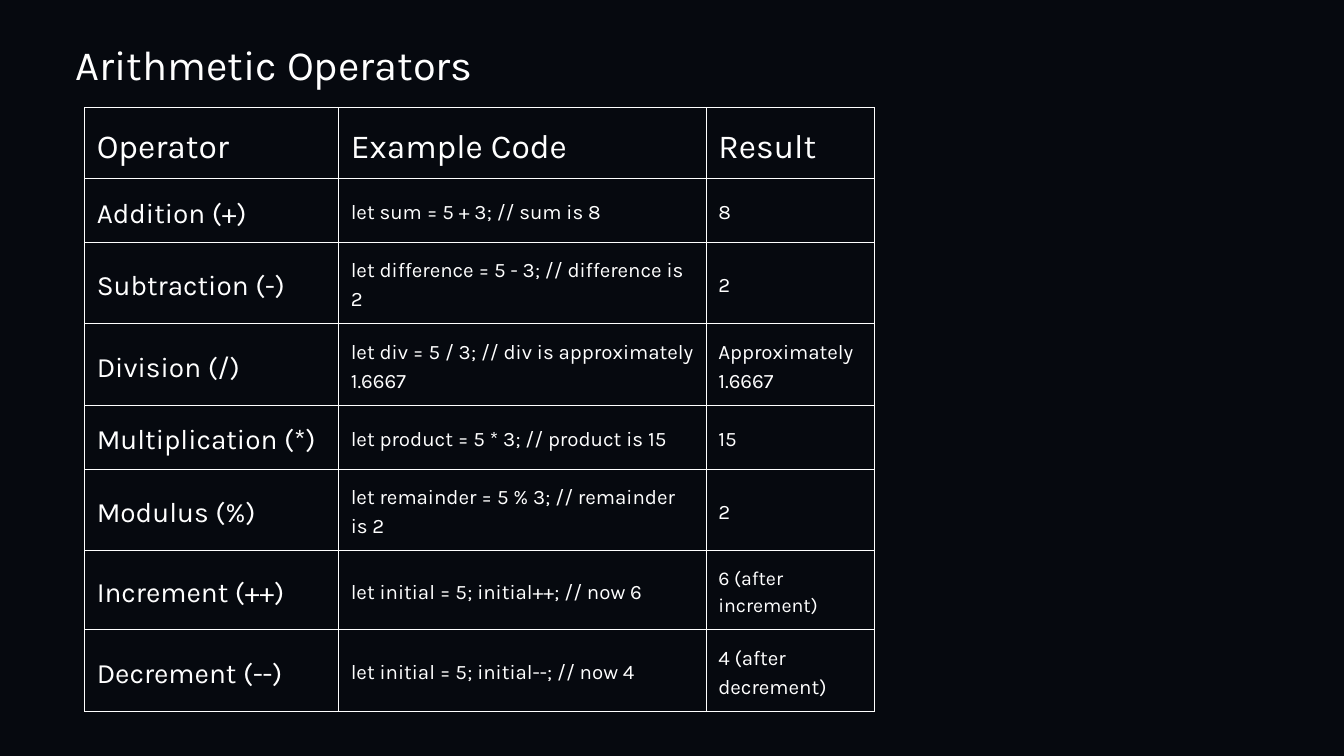
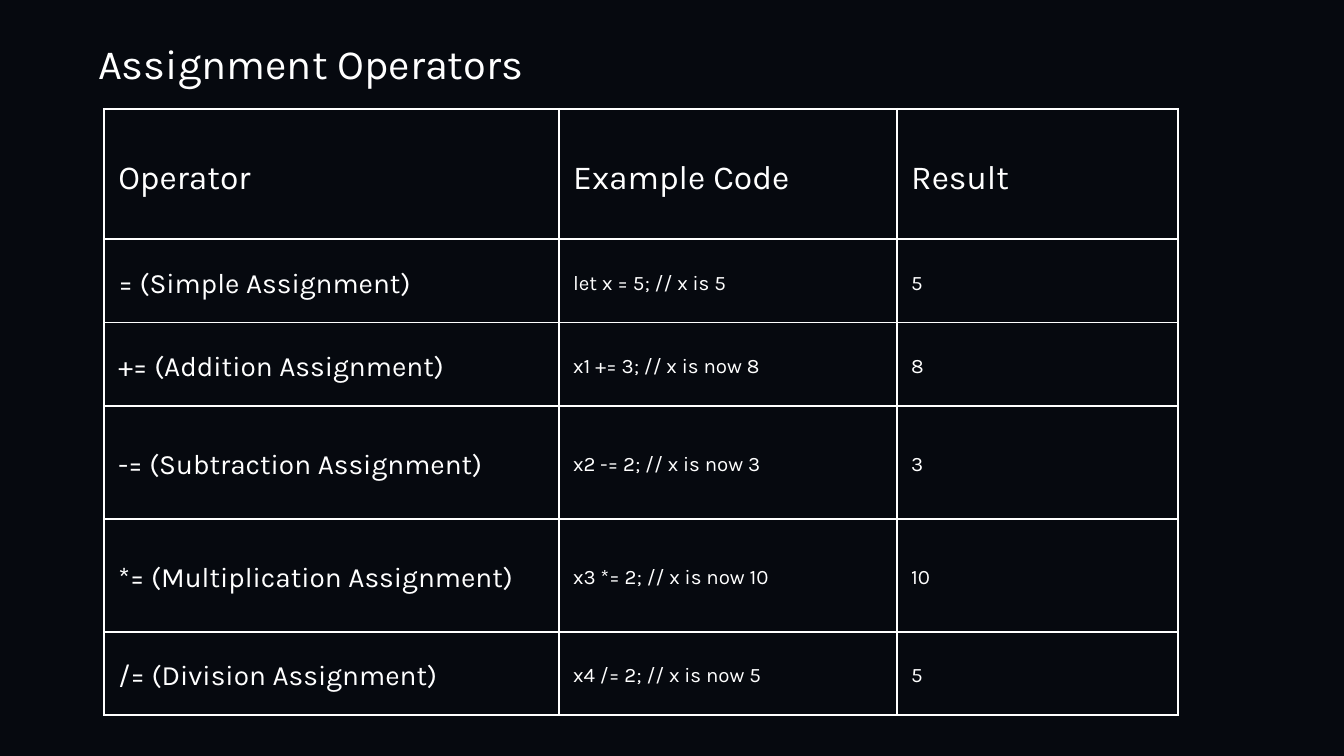
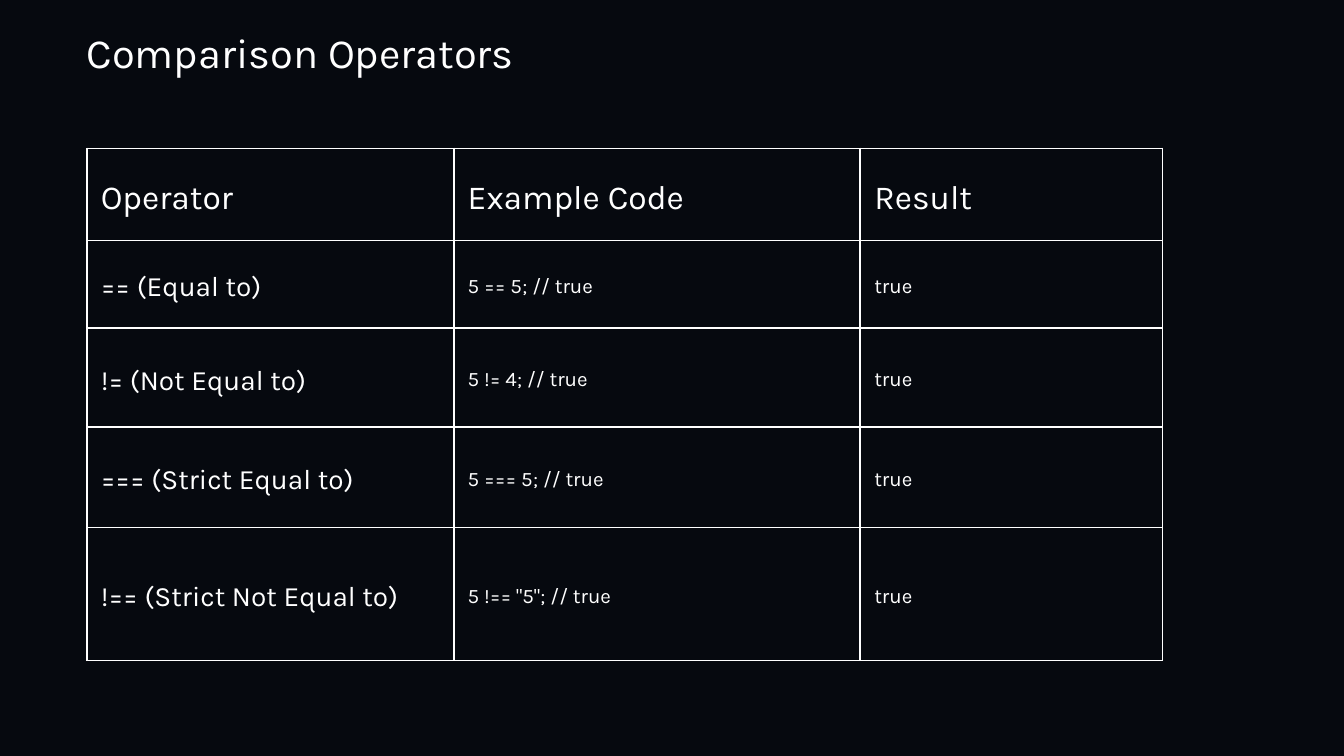
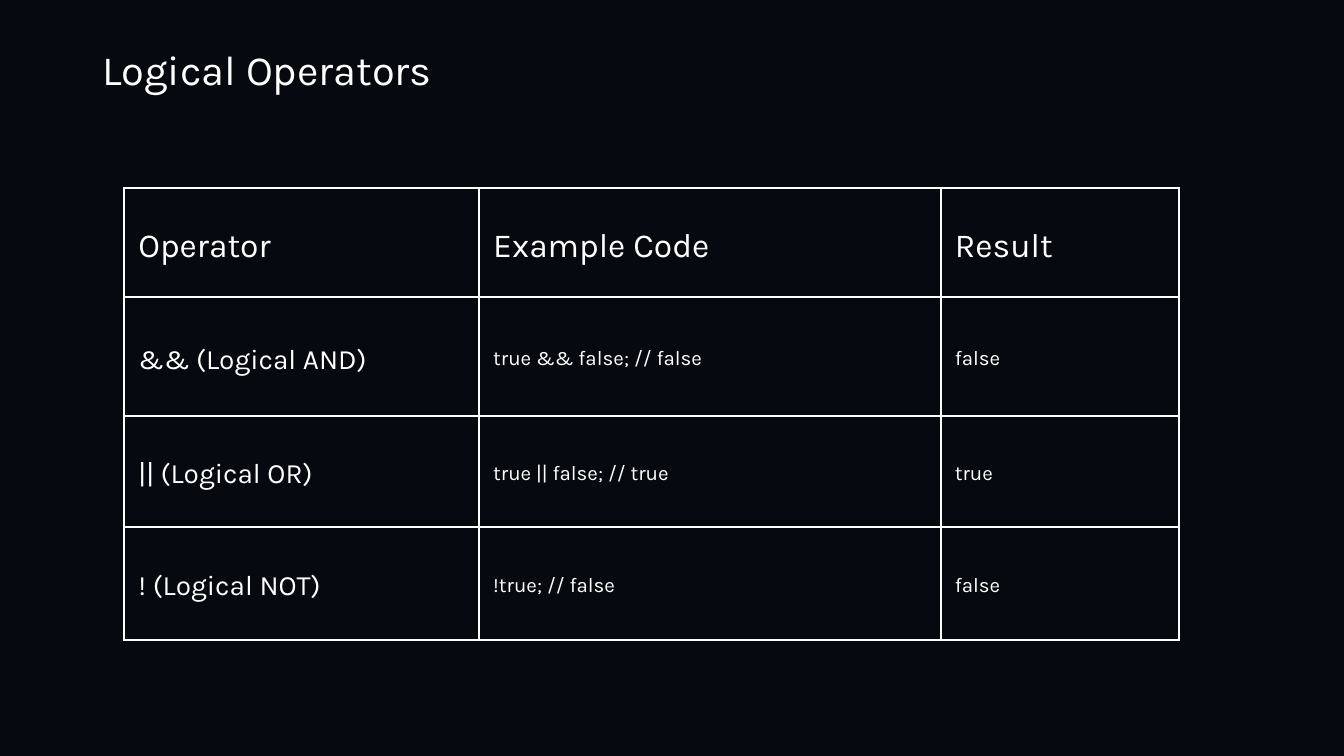
from dataclasses import dataclass

from lxml.etree import SubElement
from pptx import Presentation
from pptx.dml.color import RGBColor
from pptx.enum.text import MSO_ANCHOR as Anchor, MSO_AUTO_SIZE as AutoSize
from pptx.oxml.ns import qn
from pptx.util import Inches, Pt


@dataclass(frozen=True)
class Theme:
    background: str = "06090F"
    ink: str = "FFFFFF"
    font: str = "Karla"
    title_size: float = 44.6
    title_leading: float = 62
    heading_size: float = 36
    operator_size: float = 30
    code_size: float = 22
    small_code_size: float = 21
    cell_leading: float = 1.4


HEADINGS = ("Operator", "Example Code", "Result")
TITLE_WIDTH = 11.35

OPERATOR_SLIDES = (
    dict(
        title="Arithmetic Operators", title_box=(1.12, 0.46, 0.84),
        corner=(1.26, 1.6), columns=(3.78, 5.47, 2.5),
        heights=(0.86, 0.84, *[0.69] * 5, 0.82), border=1, inset=0.18,
        small_cells={(6, 2)},
        operators=(
            ("Addition (+)", "let sum = 5 + 3; // sum is 8", "8"),
            ("Subtraction (-)", "let difference = 5 - 3; // difference is 2", "2"),
            ("Division (/)", "let div = 5 / 3; // div is approximately 1.6667",
             "Approximately 1.6667"),
            ("Multiplication (*)", "let product = 5 * 3; // product is 15", "15"),
            ("Modulus (%)", "let remainder = 5 % 3; // remainder is 2", "2"),
            ("Increment (++)", "let initial = 5; initial++; // now 6",
             "6 (after increment)"),
            ("Decrement (--)", "let initial = 5; initial--; // now 4",
             "4 (after decrement)"),
        ),
    ),
    dict(
        title="Assignment Operators", title_box=(1.46, 0.45, 1.7),
        corner=(1.55, 1.62), columns=(6.77, 5.03, 4.18),
        heights=(1.94, 1.24, 1.24, 1.68, 1.68, 1.24),
        operators=(
            ("= (Simple Assignment)", "let x = 5; // x is 5", "5"),
            ("+= (Addition Assignment)", "x1 += 3; // x is now 8", "8"),
            ("-= (Subtraction Assignment)", "x2 -= 2; // x is now 3", "3"),
            ("*= (Multiplication Assignment)", "x3 *= 2; // x is now 10", "10"),
            ("/= (Division Assignment)", "x4 /= 2; // x is now 5", "5"),
        ),
    ),
    dict(
        title="Comparison Operators", title_box=(1.29, 0.29, 0.84),
        corner=(1.29, 2.21), columns=(5.46, 6.05, 4.5),
        heights=(1.37, 1.3, 1.48, 1.49, 1.98),
        operators=(
            ("== (Equal to)", "5 == 5; // true", "true"),
            ("!= (Not Equal to)", "5 != 4; // true", "true"),
            ("=== (Strict Equal to)", "5 === 5; // true", "true"),
            ("!== (Strict Not Equal to)", '5 !== "5"; // true', "true"),
        ),
    ),
    dict(
        title="Logical Operators", title_box=(1.52, 0.54, 1.7),
        corner=(1.85, 2.8), columns=(5.28, 6.87, 3.55),
        heights=(1.62, 1.77, 1.65, 1.68),
        operators=(
            ("&& (Logical AND)", "true && false; // false", "false"),
            ("|| (Logical OR)", "true || false; // true", "true"),
            ("! (Logical NOT)", "!true; // false", "false"),
        ),
    ),
)


class Deck:
    """Holds the theme and the current slide, and draws each kind of element."""

    def __init__(self, theme):
        self.theme = theme
        self.presentation = Presentation()
        self.presentation.slide_width = Inches(20)
        self.presentation.slide_height = Inches(11.25)
        self.slide = None

    def new_slide(self):
        blank = self.presentation.slide_layouts[6]
        self.slide = self.presentation.slides.add_slide(blank)
        fill = self.slide.background.fill
        fill.solid()
        fill.fore_color.rgb = RGBColor.from_string(self.theme.background)

    def add_text(self, frame, text, size, leading):
        paragraph = frame.paragraphs[0]
        paragraph.line_spacing = Pt(leading)
        run = paragraph.add_run()
        run.text = text
        run.font.size = Pt(size)
        run.font.name = self.theme.font
        run.font.color.rgb = RGBColor.from_string(self.theme.ink)

    def title(self, text, left, top, height):
        box = self.slide.shapes.add_textbox(
            Inches(left), Inches(top), Inches(TITLE_WIDTH), Inches(height))
        frame = box.text_frame
        frame.word_wrap = True
        frame.auto_size = AutoSize.SHAPE_TO_FIT_TEXT
        frame.margin_left = frame.margin_right = 0
        frame.margin_top = frame.margin_bottom = 0
        self.add_text(frame, text, self.theme.title_size, self.theme.title_leading)

    def borders(self, cell, width):
        properties = cell._tc.get_or_add_tcPr()
        for side in ("lnL", "lnR", "lnT", "lnB"):
            line = SubElement(properties, qn(f"a:{side}"), w=str(Pt(width)))
            fill = SubElement(line, qn("a:solidFill"))
            SubElement(fill, qn("a:srgbClr"), val=self.theme.ink)

    def cell(self, cell, text, size, border, inset):
        cell.margin_left = cell.margin_right = Inches(inset)
        cell.margin_top = cell.margin_bottom = Inches(inset)
        cell.vertical_anchor = Anchor.MIDDLE
        self.borders(cell, border)
        cell.fill.background()
        self.add_text(cell.text_frame, text, size, size * self.theme.cell_leading)

    def cell_size(self, row, column, small_cells):
        if row == 0:
            return self.theme.heading_size
        if column == 0:
            return self.theme.operator_size
        if (row, column) in small_cells:
            return self.theme.small_code_size
        return self.theme.code_size

    def table(self, operators, corner, columns, heights,
              border=2.25, inset=0.21, small_cells=()):
        left, top = corner
        table = self.slide.shapes.add_table(
            len(heights), len(columns), Inches(left), Inches(top),
            Inches(sum(columns)), Inches(sum(heights))).table
        table.first_row = table.horz_banding = False
        for column, width in zip(table.columns, columns):
            column.width = Inches(width)
        for row, height in zip(table.rows, heights):
            row.height = Inches(height)
        for row, texts in enumerate((HEADINGS, *operators)):
            for column, text in enumerate(texts):
                size = self.cell_size(row, column, small_cells)
                self.cell(table.cell(row, column), text, size, border, inset)


def main():
    deck = Deck(Theme())
    for content in OPERATOR_SLIDES:
        table = dict(content)
        title, title_box = table.pop("title"), table.pop("title_box")
        deck.new_slide()
        deck.table(**table)
        deck.title(title, *title_box)
    deck.presentation.save("out.pptx")


if __name__ == "__main__":
    main()
